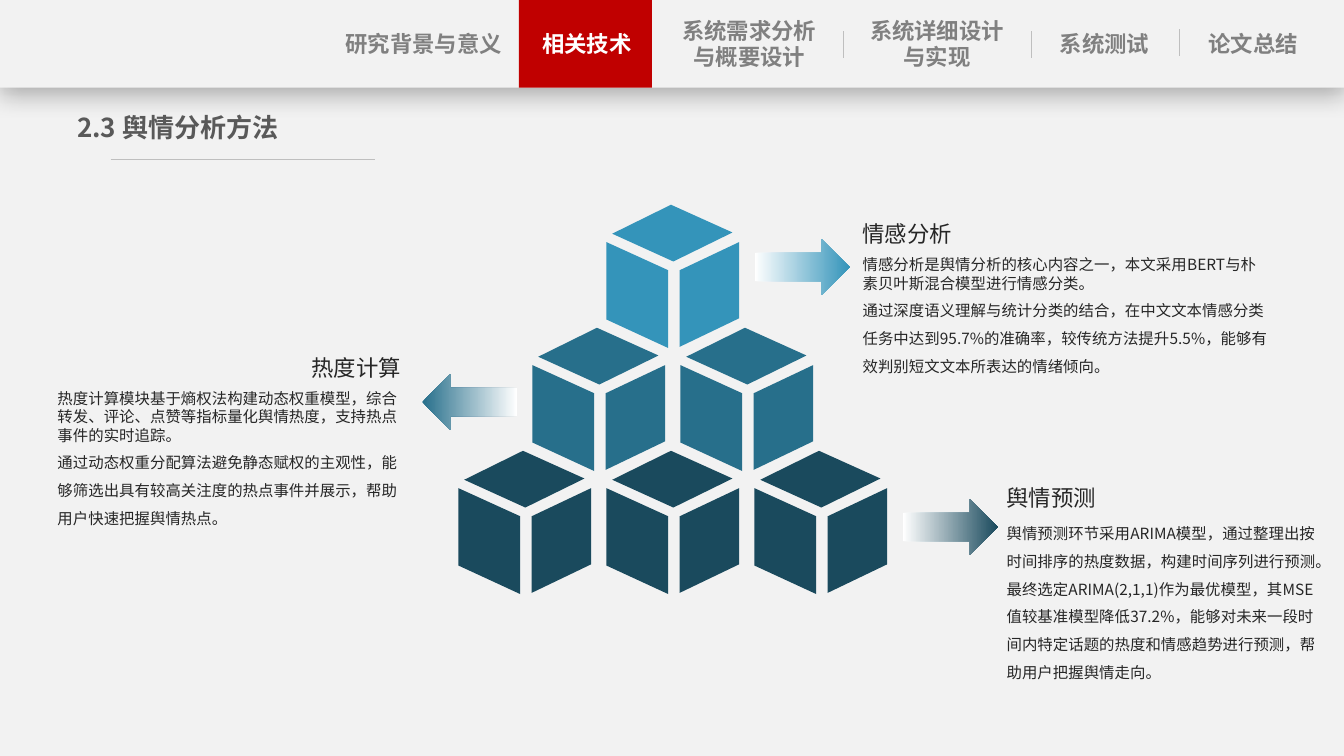
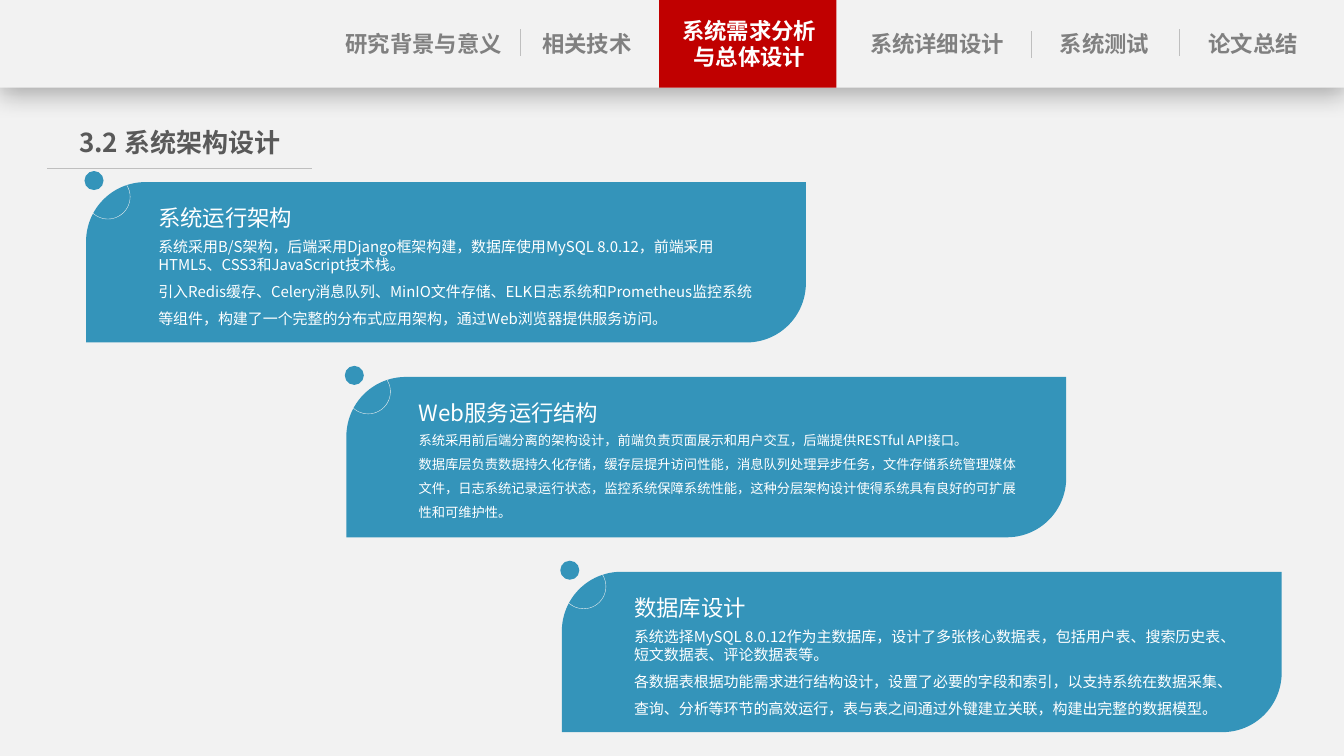
from math import ceil

from lxml.etree import SubElement
from pptx import Presentation
from pptx.dml.color import RGBColor
from pptx.enum.shapes import MSO_CONNECTOR, MSO_SHAPE as Geometry
from pptx.enum.text import MSO_ANCHOR as Anchor, PP_ALIGN as Align
from pptx.oxml.ns import qn
from pptx.util import Cm, Pt

FONT = "Noto Sans CJK SC"
PAPER, RULE, RED, WHITE = "F2F2F2", "BFBFBF", "C00000", "FFFFFF"
TITLE_GREY, TAB_GREY, INK = "595959", "808080", "262626"
LIGHT, MEDIUM, DARK = "3494BA", "276F8B", "1A4A5D"

WIDTH, HEIGHT, HEADER_HEIGHT = 33.87, 19.05, 2.21
TAB_BOXES = [(8.56, 4.24), (12.93, 3.73), (17.02, 3.73),
             (21.75, 3.73), (26.26, 3.15), (29.72, 3.73)]
TAB_CHAR_WIDTH = 0.565
SHARED_DIVIDERS = [(25.98, 0.79), (29.72, 0.74)]

METHODS_FRAME = {
    "tabs": ["研究背景与意义", "相关技术", "系统需求分析与概要设计",
             "系统详细设计与实现", "系统测试", "论文总结"],
    "active": 1, "highlight": (13.08, 3.35), "divider": (21.26, 0.79),
    "title": "2.3 舆情分析方法", "title_at": (1.85, 2.69),
    "underline": (2.79, 4.01),
}
ARCHITECTURE_FRAME = {
    "tabs": ["研究背景与意义", "相关技术", "系统需求分析与总体设计",
             "系统详细设计", "系统测试", "论文总结"],
    "active": 2, "highlight": (16.61, 4.47), "divider": (13.11, 0.74),
    "title": "3.2 系统架构设计", "title_at": (1.9, 3.07),
    "underline": (1.19, 4.24),
}

CUBE_FACES = [
    [(0.15, 0.73), (1.63, 0), (3.18, 0.7), (1.69, 1.43)],
    [(1.56, 1.65), (0, 0.94), (0, 2.89), (1.56, 3.61)],
    [(1.85, 1.65), (1.85, 3.58), (3.35, 2.86), (3.35, 0.94)],
]
CUBE_ROWS = [LIGHT, MEDIUM, DARK]
CUBE_APEX, CUBE_STEP = (15.28, 5.16), (3.73, 3.1)

METHODS = [
    {"heading": "情感分析", "heading_box": (21.74, 4.29, 6.63, 1.93),
     "body_box": (21.74, 6.43, 10.24, 3.2), "align": Align.LEFT,
     "arrow": (Geometry.RIGHT_ARROW, 19.02, 6.02, WHITE, LIGHT),
     "intro": "情感分析是舆情分析的核心内容之一，本文采用BERT与朴素贝叶斯混合模型进行情感分类。",
     "detail": "通过深度语义理解与统计分类的结合，在中文文本情感分类任务中达到95.7%的准确率，"
               "较传统方法提升5.5%，能够有效判别短文文本所表达的情绪倾向。"},
    {"heading": "热度计算", "heading_box": (3.78, 8.84, 6.32, 0.76),
     "body_box": (1.45, 9.8, 8.69, 4.62), "align": Align.RIGHT,
     "arrow": (Geometry.LEFT_ARROW, 10.64, 9.42, MEDIUM, WHITE),
     "intro": "热度计算模块基于熵权法构建动态权重模型，综合转发、评论、点赞等指标量化舆情热度，"
              "支持热点事件的实时追踪。",
     "detail": "通过动态权重分配算法避免静态赋权的主观性，能够筛选出具有较高关注度的热点事件并展示，"
               "帮助用户快速把握舆情热点。"},
    {"heading": "舆情预测", "heading_box": (25.37, 12.12, 6.63, 0.76),
     "body_box": (25.37, 12.98, 7.8, 3.2), "align": Align.LEFT,
     "arrow": (Geometry.RIGHT_ARROW, 22.76, 12.57, WHITE, DARK),
     "intro": "",
     "detail": "舆情预测环节采用ARIMA模型，通过整理出按时间排序的热度数据，构建时间序列进行预测。"
               "最终选定ARIMA(2,1,1)作为最优模型，其MSE值较基准模型降低37.2%，"
               "能够对未来一段时间内特定话题的热度和情感趋势进行预测，帮助用户把握舆情走向。"},
]

CARD_TOP, CARD_STEP, CARD_SIZE = 4.59, 4.91, (18.14, 4.04)
CARDS = [
    (2.17, 10.7, "系统运行架构",
     "系统采用B/S架构，后端采用Django框架构建，数据库使用MySQL 8.0.12，"
     "前端采用HTML5、CSS3和JavaScript技术栈。",
     "引入Redis缓存、Celery消息队列、MinIO文件存储、ELK日志系统和Prometheus监控系统等组件，"
     "构建了一个完整的分布式应用架构，通过Web浏览器提供服务访问。"),
    (8.73, 9.5, "Web服务运行结构",
     "系统采用前后端分离的架构设计，前端负责页面展示和用户交互，后端提供RESTful API接口。",
     "数据库层负责数据持久化存储，缓存层提升访问性能，消息队列处理异步任务，"
     "文件存储系统管理媒体文件，日志系统记录运行状态，监控系统保障系统性能，"
     "这种分层架构设计使得系统具有良好的可扩展性和可维护性。"),
    (14.16, 10.7, "数据库设计",
     "系统选择MySQL 8.0.12作为主数据库，设计了多张核心数据表，"
     "包括用户表、搜索历史表、短文数据表、评论数据表等。",
     "各数据表根据功能需求进行结构设计，设置了必要的字段和索引，"
     "以支持系统在数据采集、查询、分析等环节的高效运行，"
     "表与表之间通过外键建立关联，构建出完整的数据模型。"),
]


def rgb(code):
    """Turn a hex string into a colour."""
    return RGBColor.from_string(code)


def add_text(slide, box, paragraphs, *, size, color, bold=False, align=Align.LEFT,
             anchor=Anchor.TOP, inset=0, wrap=True):
    """Add a text box from (text, line spacing) pairs."""
    frame = slide.shapes.add_textbox(*map(Cm, box)).text_frame
    frame.word_wrap, frame.vertical_anchor = wrap, anchor
    frame.margin_left = frame.margin_right = 0
    frame.margin_top = frame.margin_bottom = Cm(inset)
    for index, (text, spacing) in enumerate(paragraphs):
        paragraph = frame.add_paragraph() if index else frame.paragraphs[0]
        paragraph.alignment, paragraph.line_spacing = align, spacing
        run = paragraph.add_run()
        run.text = text
        run.font.name, run.font.size, run.font.bold = FONT, Pt(size), bold
        run.font.color.rgb = rgb(color)
        SubElement(run._r.get_or_add_rPr(), qn("a:ea"), typeface=FONT)


def paint(shape, fill=None, line=None):
    """Give a shape a flat fill or a hairline, and no shadow."""
    shape.shadow.inherit = False
    if fill:
        shape.fill.solid()
        shape.fill.fore_color.rgb = rgb(fill)
    else:
        shape.fill.background()
    if line:
        shape.line.color.rgb, shape.line.width = rgb(line), Pt(0.25)
    else:
        shape.line.fill.background()
    return shape


def add_block(slide, geometry, box, **colors):
    """Add a painted preset shape."""
    return paint(slide.shapes.add_shape(geometry, *map(Cm, box)), **colors)


def add_rule(slide, left, top, width=0, height=0):
    """Add a thin grey line."""
    rule = slide.shapes.add_connector(
        MSO_CONNECTOR.STRAIGHT, *map(Cm, (left, top, left + width, top + height)))
    rule.line.color.rgb, rule.line.width = rgb(RULE), Pt(0.5)
    SubElement(rule._element.spPr, qn("a:effectLst"))


def add_frame(prs, content):
    """Add a slide with its navigation header and title."""
    slide = prs.slides.add_slide(prs.slide_layouts[6])
    header = add_block(slide, Geometry.RECTANGLE, (0, 0, WIDTH, HEADER_HEIGHT), fill=PAPER)
    effects = header._element.spPr.find(qn("a:effectLst"))
    shadow = SubElement(effects, qn("a:outerShdw"), blurRad=str(Pt(18)), dist=str(Pt(4)),
                        dir="5400000", algn="t", rotWithShape="0")
    SubElement(SubElement(shadow, qn("a:srgbClr"), val="000000"), qn("a:alpha"), val="29000")

    left, width = content["highlight"]
    add_block(slide, Geometry.RECTANGLE, (left, 0, width, HEADER_HEIGHT), fill=RED)
    for left, top in [content["divider"], *SHARED_DIVIDERS]:
        add_rule(slide, left, top, height=0.68)
    for index, (label, (left, width)) in enumerate(zip(content["tabs"], TAB_BOXES)):
        lines = ceil(len(label) * TAB_CHAR_WIDTH / width)
        height = 0.31 + 0.66 * lines
        add_text(slide, (left, (HEADER_HEIGHT - height) / 2, width, height), [(label, 1.0)],
                 size=16, bold=True, align=Align.CENTER, inset=0.13,
                 color=WHITE if index == content["active"] else TAB_GREY)

    add_text(slide, (*content["title_at"], 5.26, 1.07), [(content["title"], 1.0)],
             size=18.6, color=TITLE_GREY, bold=True, align=Align.CENTER, inset=0.13, wrap=False)
    add_rule(slide, *content["underline"], width=6.67)
    return slide


def add_cube(slide, left, top, color):
    """Draw the three visible faces of a cube as one outline."""
    faces = [[(Cm(x), Cm(y)) for x, y in face] for face in CUBE_FACES]
    outline = slide.shapes.build_freeform(*faces[0][0])
    for face in faces:
        outline.move_to(*face[0])
        outline.add_line_segments(face[1:], close=True)
    paint(outline.convert_to_shape(Cm(left), Cm(top)), fill=color)


def build_methods(prs):
    """Build the cube pyramid with its three methods."""
    slide = add_frame(prs, METHODS_FRAME)
    (apex_left, apex_top), (step_x, step_y) = CUBE_APEX, CUBE_STEP
    for row, color in enumerate(CUBE_ROWS):
        for column in range(row + 1):
            add_cube(slide, apex_left + (column - row / 2) * step_x,
                     apex_top + row * step_y, color)
    for method in METHODS:
        geometry, left, top, *gradient = method["arrow"]
        arrow = add_block(slide, geometry, (left, top, 2.39, 1.42))
        arrow.fill.gradient()
        arrow.fill.gradient_angle = 0
        for stop, color in zip(arrow.fill.gradient_stops, gradient):
            stop.color.rgb = rgb(color)
        add_text(slide, method["heading_box"], [(method["heading"], 1.3)], size=16,
                 color=INK, align=method["align"], anchor=Anchor.BOTTOM)
        body = [(method["intro"], 1.0), (method["detail"], 1.5)]
        add_text(slide, method["body_box"], [part for part in body if part[0]],
                 size=11, color=INK)


def build_architecture(prs):
    """Build the staircase of three cards."""
    slide = add_frame(prs, ARCHITECTURE_FRAME)
    for index, (left, size, heading, intro, detail) in enumerate(CARDS):
        top = CARD_TOP + index * CARD_STEP
        card = add_block(slide, Geometry.ROUND_2_DIAG_RECTANGLE, (left, top, *CARD_SIZE),
                         fill=LIGHT)
        card.adjustments[0], card.adjustments[1] = 0.37, 0
        add_block(slide, Geometry.OVAL, (left - 0.01, top - 0.19, 1.12, 1.12), line=PAPER)
        add_block(slide, Geometry.OVAL, (left - 0.04, top - 0.28, 0.48, 0.48), fill=LIGHT)
        add_text(slide, (left + 1.82, top + 1.4, 15.12, 2.36),
                 [(intro, 1.0), (detail, 1.5)], size=size, color=WHITE)
        add_text(slide, (left + 1.82, top + 0.13, 15.19, 1.19), [(heading, 1.5)],
                 size=16, color=WHITE, anchor=Anchor.MIDDLE)


def main():
    """Build and save the presentation."""
    prs = Presentation()
    prs.slide_width, prs.slide_height = Cm(WIDTH), Cm(HEIGHT)
    paper = prs.slide_master.background.fill
    paper.solid()
    paper.fore_color.rgb = rgb(PAPER)
    build_methods(prs)
    build_architecture(prs)
    prs.save("out.pptx")


if __name__ == "__main__":
    main()
